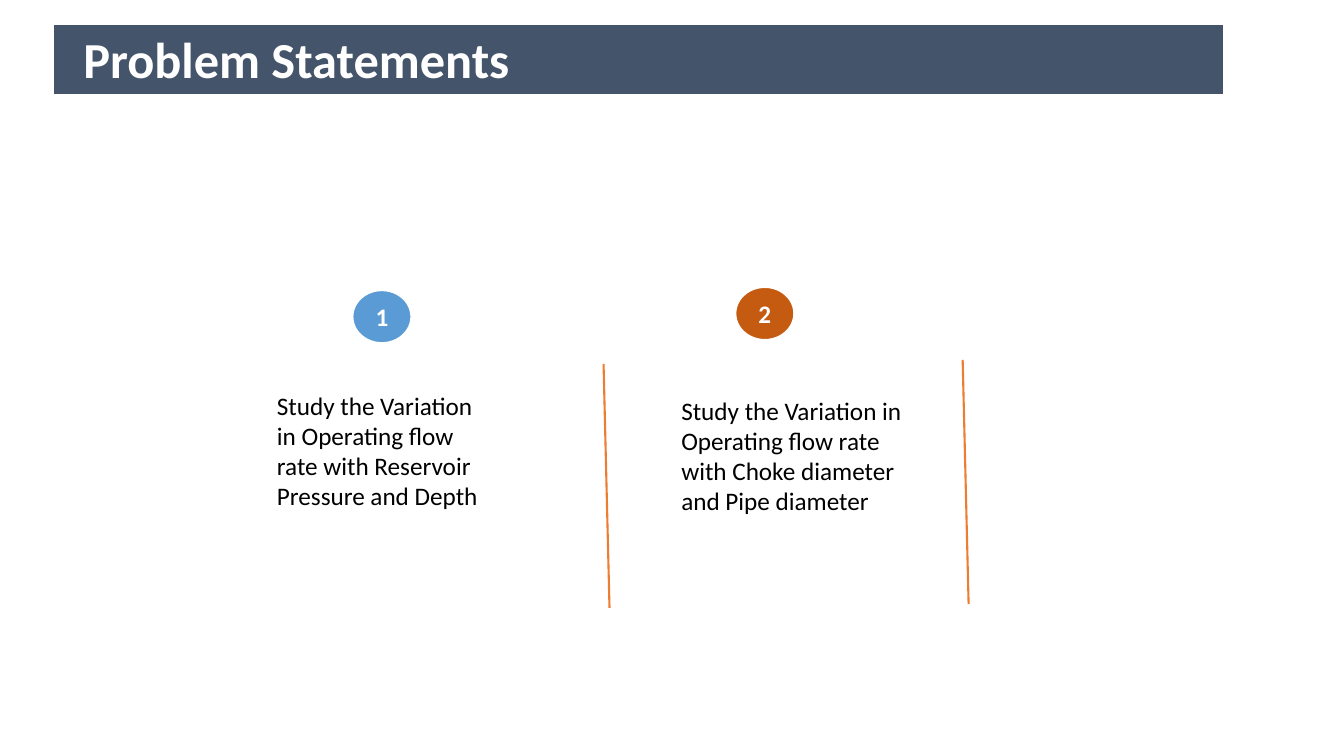
from lxml.etree import SubElement
from pptx import Presentation
from pptx.dml.color import RGBColor
from pptx.enum.shapes import MSO_CONNECTOR as Connector, MSO_SHAPE as Shape
from pptx.enum.text import MSO_ANCHOR as Anchor, PP_ALIGN as Align
from pptx.oxml.ns import qn
from pptx.util import Cm, Pt

WHITE = RGBColor(0xFF, 0xFF, 0xFF)
BLACK = RGBColor(0x00, 0x00, 0x00)
SLATE = RGBColor(0x44, 0x54, 0x6A)
BLUE = RGBColor(0x5B, 0x9B, 0xD5)
RUST = RGBColor(0xC5, 0x5A, 0x11)
ORANGE = RGBColor(0xED, 0x7D, 0x31)

STATEMENTS = [
    {
        "number": "1",
        "text": "Study the Variation in Operating flow rate with Reservoir Pressure and Depth",
        "color": BLUE,
        "badge_at": (8.89, 7.32),
        "text_box": (6.73, 9.7, 5.92, 3.33),
        "divider_at": (15.21, 9.17),
    },
    {
        "number": "2",
        "text": "Study the Variation in Operating flow rate with Choke diameter and Pipe diameter",
        "color": RUST,
        "badge_at": (18.54, 7.24),
        "text_box": (16.92, 9.83, 6.43, 3.33),
        "divider_at": (24.26, 9.07),
    },
]


def write(frame, text, size=18, color=BLACK, bold=False, align=Align.LEFT, anchor=Anchor.TOP):
    frame.word_wrap = True
    frame.vertical_anchor = anchor
    paragraph = frame.paragraphs[0]
    paragraph.alignment = align
    run = paragraph.add_run()
    run.text = text
    run.font.name = "Calibri"
    run.font.size = Pt(size)
    run.font.bold = bold
    run.font.color.rgb = color


def add_block(slide, preset, box, fill):
    block = slide.shapes.add_shape(preset, *map(Cm, box))
    block.shadow.inherit = False
    block.fill.solid()
    block.fill.fore_color.rgb = fill
    block.line.color.rgb = WHITE
    block.line.width = Pt(1)
    return block


def add_label(slide, box, text, **style):
    label = slide.shapes.add_textbox(*map(Cm, box))
    write(label.text_frame, text, **style)


def add_divider(slide, left, top):
    ends = (left, top, left + 0.15, top + 6.15)
    divider = slide.shapes.add_connector(Connector.STRAIGHT, *map(Cm, ends))
    divider.line.color.rgb = ORANGE
    divider.line.width = Pt(1.5)
    SubElement(divider._element.spPr, qn("a:effectLst"))


def add_badge(slide, left, top, number, color):
    badge = add_block(slide, Shape.FLOWCHART_CONNECTOR, (left, top, 1.47, 1.32), color)
    write(badge.text_frame, number, color=WHITE, bold=True, align=Align.CENTER, anchor=Anchor.MIDDLE)


def main():
    deck = Presentation()
    deck.slide_width, deck.slide_height = Cm(33.87), Cm(19.05)
    slide = deck.slides.add_slide(deck.slide_layouts[6])

    add_block(slide, Shape.RECTANGLE, (1.35, 0.61, 29.49, 1.78), SLATE)
    add_label(slide, (1.85, 0.58, 19.53, 1.8), "Problem Statements", size=36, color=WHITE, bold=True)

    for statement in STATEMENTS:
        add_label(slide, statement["text_box"], statement["text"])
        add_divider(slide, *statement["divider_at"])
        add_badge(slide, *statement["badge_at"], statement["number"], statement["color"])

    deck.save("out.pptx")


if __name__ == "__main__":
    main()
